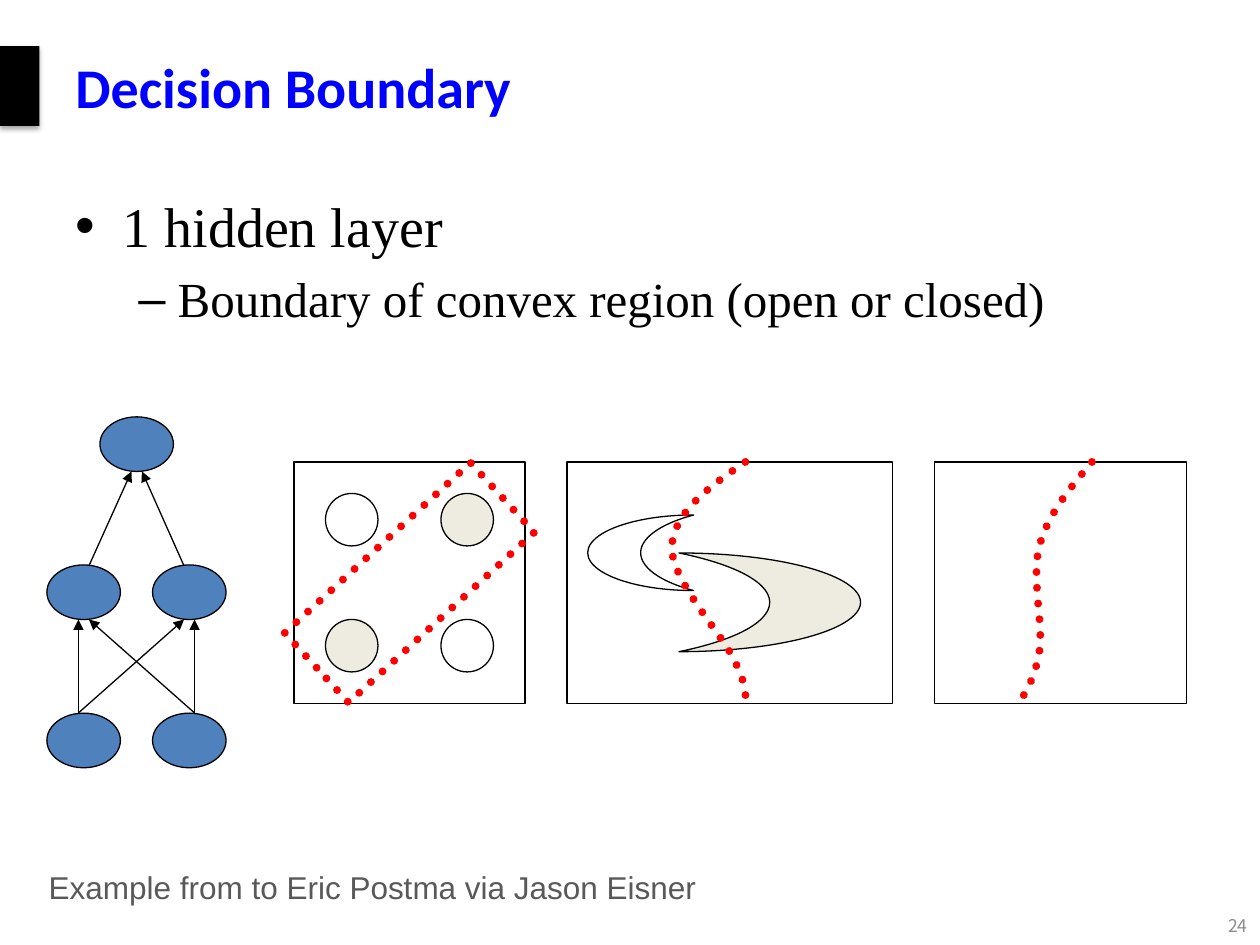
import pptx
import pptx.util
import pptx.dml.color
import pptx.enum.shapes
import pptx.enum.text
import pptx.enum.dml
import pptx.oxml
import pptx.oxml.ns

COLORS = {
    "black": "000000", "white": "FFFFFF", "title": "0000FF", "node": "4F81BD",
    "region": "EEECE1", "boundary": "FF0000", "credit": "595959", "number": "8C8C8C",
}
SHAPE = pptx.enum.shapes.MSO_SHAPE
ALIGN = pptx.enum.text.PP_ALIGN
ANCHOR = pptx.enum.text.MSO_ANCHOR
UNITS_PER_INCH = 12


def units(count):
    return pptx.util.Inches(count / UNITS_PER_INCH)


def rgb(name):
    return pptx.dml.color.RGBColor.from_string(COLORS[name])


def element(tag, parent, **attributes):
    child = pptx.oxml.parse_xml(f"<{tag} {pptx.oxml.ns.nsdecls('a')}/>")
    for key, value in attributes.items():
        child.set(key, str(value))
    parent.append(child)
    return child


class Sketch:
    def __init__(self, page):
        self.page = page

    def outline(self, shape, fill=None, line="black", dotted=False):
        shape.shadow.inherit = False
        if fill:
            shape.fill.solid()
            shape.fill.fore_color.rgb = rgb(fill)
        else:
            shape.fill.background()
        if not line:
            shape.line.fill.background()
            return
        shape.line.color.rgb = rgb(line)
        shape.line.width = pptx.util.Pt(4.5 if dotted else 0.75)
        if dotted:
            shape.line.dash_style = pptx.enum.dml.MSO_LINE.ROUND_DOT
            shape.line._get_or_add_ln().set("cap", "rnd")

    def shape(self, kind, left, top, width, height, **style):
        shape = self.page.shapes.add_shape(kind, *map(units, (left, top, width, height)))
        self.outline(shape, **style)
        return shape

    def bar(self, *place):
        bar = self.shape(SHAPE.RECTANGLE, *place, fill="black", line=None)
        effects = bar._element.spPr.find(pptx.oxml.ns.qn("a:effectLst"))
        shadow = element("a:outerShdw", effects, blurRad=pptx.util.Pt(3.1),
                         dist=pptx.util.Pt(1.8), dir=5400000, rotWithShape=0)
        color = element("a:srgbClr", shadow, val=COLORS["black"])
        element("a:alpha", color, val=35000)

    def arrow(self, start, end):
        arrow = self.page.shapes.add_connector(
            pptx.enum.shapes.MSO_CONNECTOR.STRAIGHT, *map(units, (*start, *end)))
        arrow.line.color.rgb = rgb("black")
        arrow.line.width = pptx.util.Pt(0.75)
        element("a:tailEnd", arrow.line._get_or_add_ln(), type="triangle")
        element("a:effectLst", arrow._element.spPr)

    def curve(self, start, *controls):
        points = [tuple(map(units, point)) for point in (start, *controls)]
        builder = self.page.shapes.build_freeform(*points[0])
        builder.add_line_segments(points[1:], close=False)
        shape = builder.convert_to_shape()
        lines = list(shape._element.iter(pptx.oxml.ns.qn("a:lnTo")))
        outline = lines[0].getparent()
        for first in range(0, len(lines), 3):
            segment = element("a:cubicBezTo", outline)
            for line in lines[first:first + 3]:
                segment.append(line[0])
                outline.remove(line)
        self.outline(shape, line="boundary", dotted=True)

    def text(self, place, lines, anchor=ANCHOR.TOP, align=ALIGN.LEFT):
        box = self.page.shapes.add_textbox(*map(units, place))
        frame = box.text_frame
        frame.word_wrap = True
        frame.vertical_anchor = anchor
        frame.text = "\n".join(line["text"] for line in lines)
        for index, (para, line) in enumerate(zip(frame.paragraphs, lines)):
            para.alignment = align
            para.space_before = pptx.util.Pt(0.2 * line["size"] if index else 0)
            if "bullet" in line:
                properties = para._p.get_or_add_pPr()
                indent, hanging = line["indent"]
                properties.set("marL", str(units(indent)))
                properties.set("indent", str(-units(hanging)))
                element("a:buFont", properties, typeface="Arial")
                element("a:buChar", properties, char=line["bullet"])
                para.level = index
            for span in para.runs:
                span.font.size = pptx.util.Pt(line["size"])
                span.font.name = line["font"]
                span.font.bold = line.get("bold", False)
                span.font.color.rgb = rgb(line["color"])


def draw_network(sketch):
    left, middle, right = 7.97, 13.02, 18.03
    output_row, hidden_row, input_row = 42.3, 56.4, 70.52
    width, height, offset = 7, 5.2, 0.5

    def node(x, y):
        sketch.shape(SHAPE.OVAL, x - width / 2, y - height / 2, width, height, fill="node")

    node(middle, output_row)
    for x, side in ((left, 1), (right, -1)):
        sketch.arrow((x + side * offset, 53.9), (middle - side * offset, 44.9))
    for x in (left, right):
        node(x, hidden_row)
    outer, inner = (left - offset, right + offset), (left + offset, right - offset)
    for index in range(2):
        sketch.arrow((outer[index], 67.9), (outer[index], 59))
        sketch.arrow((outer[index], 67.9), (inner[1 - index], 59))
    for x in (left, right):
        node(x, input_row)


def draw_panels(sketch):
    for column in range(2):
        for row in range(2):
            fill = "white" if column == row else "region"
            sketch.shape(SHAPE.OVAL, 31 + 11 * column, 47 + 12 * row, 5, 5, fill=fill)
    sketch.shape(SHAPE.MOON, 55.97, 49.05, 10.1, 7.2, fill="white")
    moon = sketch.shape(SHAPE.MOON, 64.67, 52.67, 17.3, 9.4, fill="region")
    moon._element.spPr.xfrm.set("flipH", "1")
    for left, width in ((28, 22), (54, 31), (89, 24)):
        sketch.shape(SHAPE.RECTANGLE, left, 44, width, 23)
    band = sketch.shape(SHAPE.RECTANGLE, 34.5, 43.5, 9, 24, line="boundary", dotted=True)
    band.rotation = 47.5
    sketch.curve((71, 44), (67.5, 46.4), (64.2, 48.8), (64, 52),
                 (63.8, 55.2), (68.9, 60.5), (70, 63),
                 (71.2, 65.5), (71, 66.2), (71, 67))
    sketch.curve((104, 44), (101.9, 46.5), (99.8, 49), (99, 52),
                 (98.2, 55), (99.4, 59.5), (99, 62),
                 (98.6, 64.5), (97.8, 65.8), (97, 67))


def main():
    deck = pptx.Presentation()
    deck.slide_width, deck.slide_height = units(120), units(90)
    sketch = Sketch(deck.slides.add_slide(deck.slide_layouts[6]))
    sketch.bar(0, 4.4, 3.77, 7.6)
    sketch.text((6, 0.7, 108, 15), [
        dict(text="Decision Boundary", size=32, font="Calibri", color="title", bold=True),
    ], anchor=ANCHOR.MIDDLE)
    body = dict(font="Times New Roman", color="black")
    sketch.text((6, 17.67, 108, 59.4), [
        dict(body, text="1 hidden layer", size=32, bullet="•", indent=(4.5, 4.5)),
        dict(body, text="Boundary of convex region (open or closed)", size=28,
             bullet="–", indent=(9.75, 3.75)),
    ])
    draw_network(sketch)
    draw_panels(sketch)
    sketch.text((3.46, 82.1, 68.5, 4.8), [
        dict(text="Example from to Eric Postma via Jason Eisner", size=18,
             font="Arial", color="credit"),
    ])
    sketch.text((101.5, 86.4, 18.5, 3.5), [
        dict(text="24", size=10, font="Noto Sans CJK SC", color="number"),
    ], anchor=ANCHOR.MIDDLE, align=ALIGN.RIGHT)
    deck.save("out.pptx")


if __name__ == "__main__":
    main()
